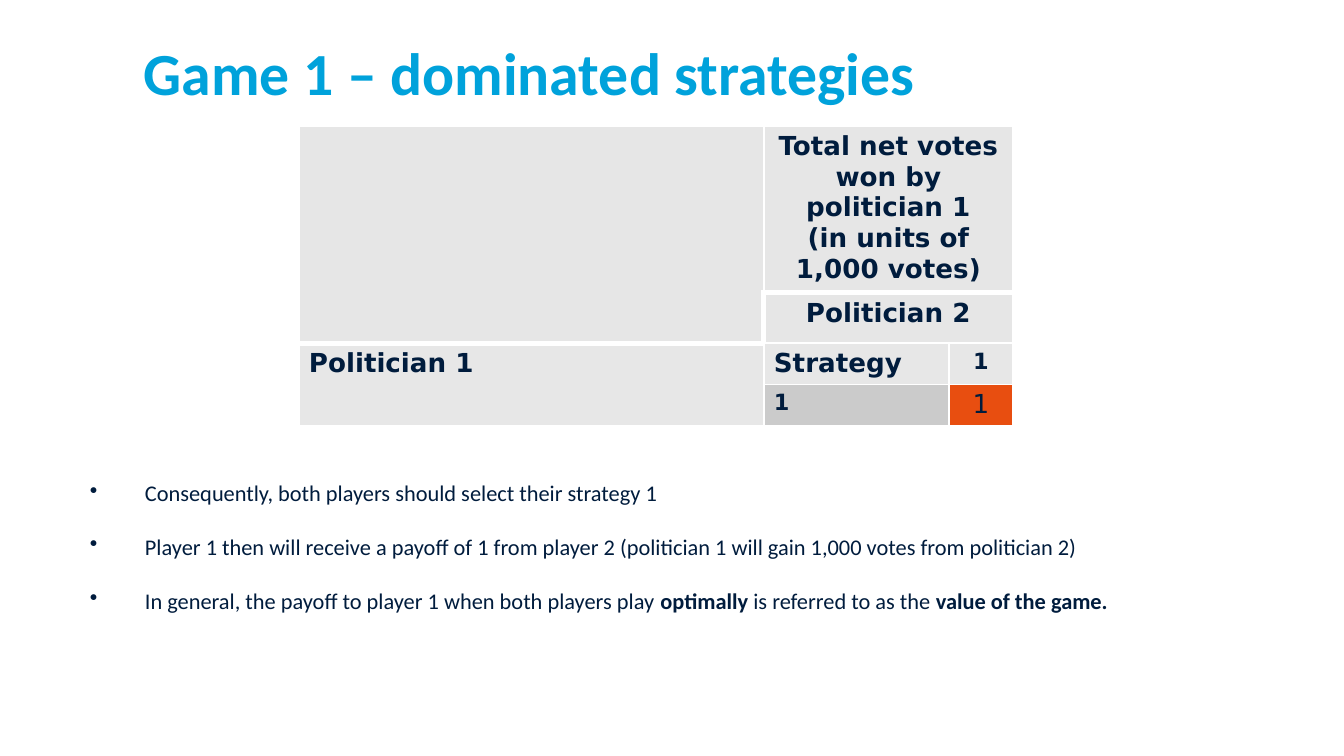
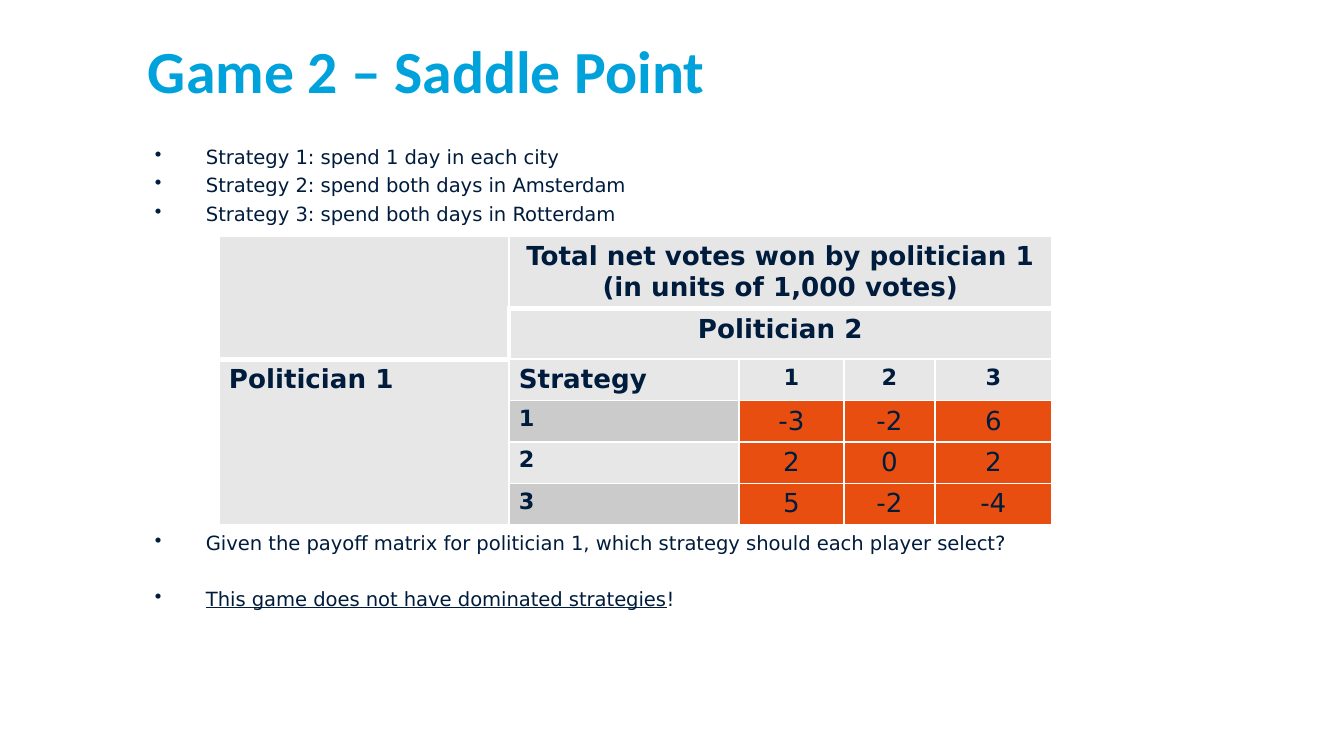
from lxml.etree import SubElement
from pptx import Presentation
from pptx.dml.color import RGBColor
from pptx.enum.text import MSO_ANCHOR, PP_ALIGN
from pptx.oxml.ns import qn
from pptx.util import Emu, Pt

EMU_PER_PX = 914400 / 134.4
CYAN = RGBColor(0x00, 0xA2, 0xDB)
NAVY = RGBColor(0x00, 0x1C, 0x3D)
WHITE = RGBColor(0xFF, 0xFF, 0xFF)
HEADER_GREY = RGBColor(0xE6, 0xE6, 0xE6)
LIGHT_GREY = RGBColor(0xE7, 0xE7, 0xE7)
BAND_GREY = RGBColor(0xCB, 0xCB, 0xCB)
ORANGE = RGBColor(0xE8, 0x4E, 0x10)
HEADING_FONT = "Calibri"
TABLE_FONT = "DejaVu Sans"


def px(length):
    return Emu(round(length * EMU_PER_PX))


def style(run, font, size, color, bold=False, underline=False):
    run.font.name = font
    run.font.size = Pt(size)
    run.font.color.rgb = color
    run.font.bold = bold
    run.font.underline = underline


def add_text_frame(slide, box, anchor):
    frame = slide.shapes.add_textbox(*map(px, box)).text_frame
    frame.word_wrap = True
    frame.vertical_anchor = anchor
    frame.margin_left = frame.margin_right = 0
    frame.margin_top = frame.margin_bottom = 0
    return frame


def add_title(slide, left, top, title):
    frame = add_text_frame(slide, (left, top, 919, 83), MSO_ANCHOR.MIDDLE)
    frame.text = title
    style(frame.paragraphs[0].runs[0], HEADING_FONT, 32, CYAN, bold=True)


def add_bullets(slide, box, anchor, font, size, indent, points):
    frame = add_text_frame(slide, box, anchor)
    for index, (gap, pieces) in enumerate(points):
        point = frame.add_paragraph() if index else frame.paragraphs[0]
        point.space_before = px(gap)
        properties = point._p.get_or_add_pPr()
        properties.set("marL", str(px(indent)))
        properties.set("indent", str(px(-indent)))
        SubElement(properties, qn("a:buChar")).set("char", "•")
        for text, emphasis in pieces:
            run = point.add_run()
            run.text = text
            style(run, font, size, NAVY, **emphasis)


def add_borders(cell, row, column):
    thick = {
        "L": (row, column) == (1, 1),
        "R": False,
        "T": (row == 1 and column > 0) or (row, column) == (2, 0),
        "B": row == 0 or (row, column) == (1, 0),
    }
    for side, is_thick in thick.items():
        border = SubElement(cell._tc.get_or_add_tcPr(), qn(f"a:ln{side}"))
        border.set("w", str(Pt(3 if is_thick else 1)))
        fill = SubElement(border, qn("a:solidFill"))
        SubElement(fill, qn("a:srgbClr")).set("val", str(WHITE))


def cell_fill(row, column):
    if row < 2:
        return HEADER_GREY
    if row > 2 and column > 1:
        return ORANGE
    return BAND_GREY if row % 2 and column == 1 else LIGHT_GREY


def write_cell(cell, text, size=14, bold=True, centered=False):
    cell.text_frame.text = str(text)
    for paragraph in cell.text_frame.paragraphs:
        paragraph.alignment = PP_ALIGN.CENTER if centered else PP_ALIGN.LEFT
        for run in paragraph.runs:
            style(run, TABLE_FONT, size, NAVY, bold)


def add_payoff_table(slide, left, top, widths, header_height, payoffs):
    heights = [header_height] + [41] * (len(payoffs) + 2)
    table = slide.shapes.add_table(
        len(heights), len(widths), px(left), px(top), px(sum(widths)), px(sum(heights))
    ).table
    table.first_row = table.horz_banding = False
    for column, width in zip(table.columns, widths):
        column.width = px(width)
    for row, height in zip(table.rows, heights):
        row.height = px(height)
    for r in range(len(heights)):
        for c in range(len(widths)):
            cell = table.cell(r, c)
            cell.margin_left = cell.margin_right = px(10)
            cell.margin_top = cell.margin_bottom = px(5)
            add_borders(cell, r, c)
            cell.fill.solid()
            cell.fill.fore_color.rgb = cell_fill(r, c)

    last_row, last_column = len(heights) - 1, len(widths) - 1
    table.cell(0, 0).merge(table.cell(1, 0))
    table.cell(2, 0).merge(table.cell(last_row, 0))
    for r in (0, 1):
        table.cell(r, 1).merge(table.cell(r, last_column))

    votes = "Total net votes won by politician 1\n(in units of 1,000 votes)"
    write_cell(table.cell(0, 1), votes, centered=True)
    write_cell(table.cell(1, 1), "Politician 2", centered=True)
    write_cell(table.cell(2, 0), "Politician 1")
    write_cell(table.cell(2, 1), "Strategy")
    for strategy in range(1, len(payoffs[0]) + 1):
        write_cell(table.cell(2, strategy + 1), strategy, size=12, centered=True)
    for strategy, row_payoffs in enumerate(payoffs, 1):
        write_cell(table.cell(strategy + 2, 1), strategy, size=12)
        for c, payoff in enumerate(row_payoffs, 2):
            write_cell(table.cell(strategy + 2, c), payoff, bold=False, centered=True)


def build_dominated_strategies(slide):
    add_title(slide, 144, 30, "Game 1 – dominated strategies")
    bold = {"bold": True}
    points = [
        (0, [("Consequently, both players should select their strategy 1", {})]),
        (27, [("Player 1 then will receive a payoff of 1 from player 2 "
               "(politician 1 will gain 1,000 votes from politician 2)", {})]),
        (27, [("In general, the payoff to player 1 when both players play ", {}),
              ("optimally", bold),
              (" is referred to as the ", {}),
              ("value of the game.", bold)]),
    ]
    add_bullets(slide, (90, 160, 1235, 454), MSO_ANCHOR.BOTTOM,
                HEADING_FONT, 12, 55, points)
    add_payoff_table(slide, 299, 126, [465, 185, 64], 163, [[1]])


def build_saddle_point(slide):
    add_title(slide, 148, 28, "Game 2 – Saddle Point")
    points = [
        (0, [("Strategy 1: spend 1 day in each city", {})]),
        (5, [("Strategy 2: spend both days in Amsterdam", {})]),
        (5, [("Strategy 3: spend both days in Rotterdam", {})]),
        (306, [("Given the payoff matrix for politician 1, "
                "which strategy should each player select?", {})]),
        (32, [("This game does not have dominated strategies", {"underline": True}),
              ("!", {})]),
    ]
    add_bullets(slide, (155, 145, 919, 505), MSO_ANCHOR.TOP,
                TABLE_FONT, 10.5, 51, points)
    add_payoff_table(slide, 219, 236, [290, 230, 105, 91, 117], 73,
                     [[-3, -2, 6], [2, 0, 2], [5, -2, -4]])


def main():
    deck = Presentation()
    deck.slide_width, deck.slide_height = px(1344), px(756)
    for build in (build_dominated_strategies, build_saddle_point):
        build(deck.slides.add_slide(deck.slide_layouts[6]))
    deck.save("out.pptx")


if __name__ == "__main__":
    main()
